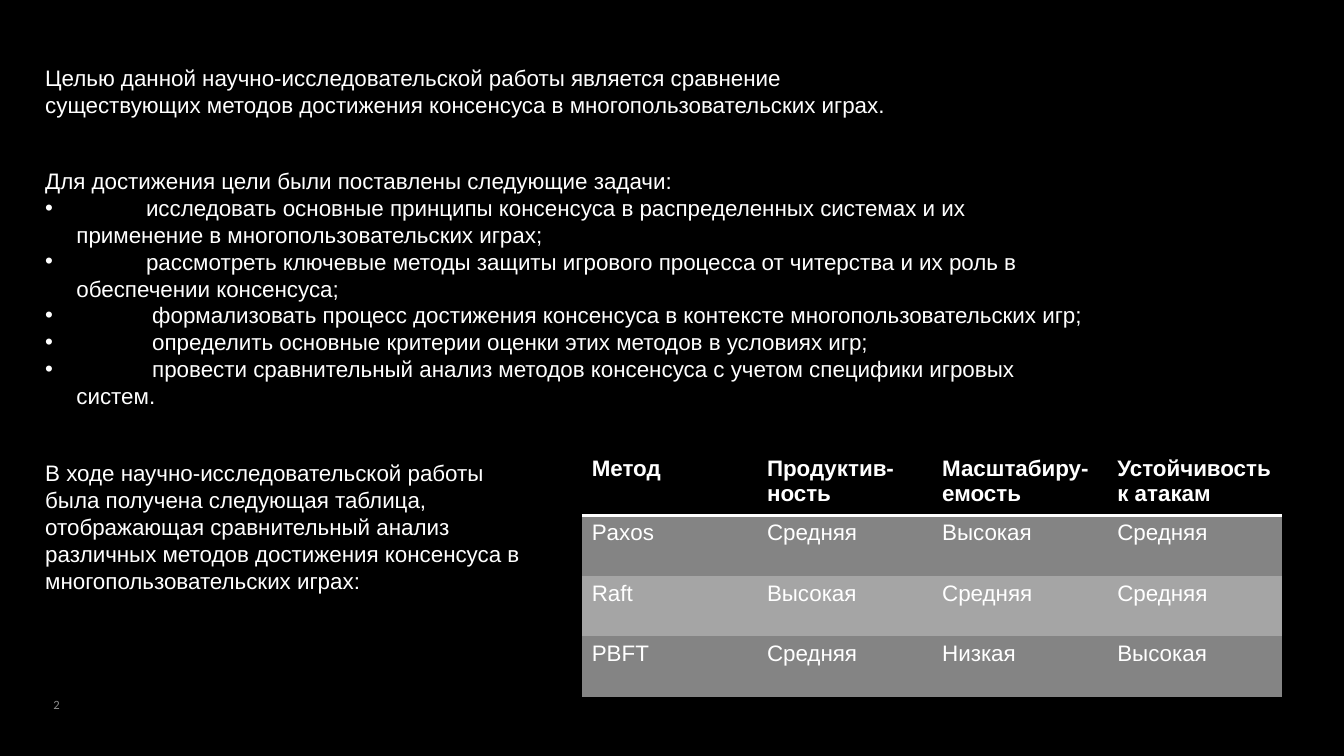
from lxml.etree import SubElement as Sub
from pptx import Presentation
from pptx.dml.color import RGBColor
from pptx.enum.text import MSO_ANCHOR as Anchor, PP_ALIGN as Align
from pptx.oxml.ns import qn
from pptx.util import Inches, Pt

BLACK = RGBColor(0x00, 0x00, 0x00)
WHITE = RGBColor(0xFF, 0xFF, 0xFF)
DARK = RGBColor(0x84, 0x84, 0x84)
LIGHT = RGBColor(0xA5, 0xA5, 0xA5)
DIM = RGBColor(0x8C, 0x8C, 0x8C)

GOAL = ("Целью данной научно-исследовательской работы является сравнение "
        "существующих методов достижения консенсуса в многопользовательских играх.")
LEAD = "Для достижения цели были поставлены следующие задачи:"
TASKS = [
    "\tисследовать основные принципы консенсуса в распределенных системах и их "
    "применение в многопользовательских играх;",
    "\tрассмотреть ключевые методы защиты игрового процесса от читерства и их роль в "
    "обеспечении консенсуса;",
    "\t формализовать процесс достижения консенсуса в контексте многопользовательских игр;",
    "\t определить основные критерии оценки этих методов в условиях игр;",
    "\t провести сравнительный анализ методов консенсуса с учетом специфики игровых систем.",
]
RESULT = ("В ходе научно-исследовательской работы была получена следующая таблица, "
          "отображающая сравнительный анализ различных методов достижения консенсуса в "
          "многопользовательских играх:")
ROWS = [
    ["Метод", "Продуктив-ность", "Масштабиру-емость", "Устойчивость к атакам"],
    ["Paxos", "Средняя", "Высокая", "Средняя"],
    ["Raft", "Высокая", "Средняя", "Средняя"],
    ["PBFT", "Средняя", "Низкая", "Высокая"],
]


class Deck:
    """Holds the text style and the current slide."""
    font, size, color = "Arial", 16, WHITE

    def __init__(self, slide):
        self.slide = slide
        fill = slide.background.fill
        fill.solid()
        fill.fore_color.rgb = BLACK

    def run(self, para, text, bold=False):
        run = para.add_run()
        run.text = text
        font = run.font
        font.name, font.size, font.bold = self.font, Pt(self.size), bold
        font.color.rgb = self.color

    def box(self, x, y, w, h):
        frame = self.slide.shapes.add_textbox(
            Inches(x), Inches(y), Inches(w), Inches(h)).text_frame
        frame.word_wrap = True
        return frame

    def text(self, x, y, w, h, text):
        frame = self.box(x, y, w, h)
        self.run(frame.paragraphs[0], text)
        return frame

    def bullet(self, frame, text):
        para = frame.add_paragraph()
        props = para._p.get_or_add_pPr()
        props.set("marL", str(Inches(0.31)))
        props.set("indent", str(-Inches(0.31)))
        Sub(props, qn("a:buFont"), typeface="Arial")
        Sub(props, qn("a:buChar"), char="•")
        Sub(Sub(props, qn("a:tabLst")), qn("a:tab"), pos=str(Inches(1)), algn="l")
        self.run(para, text)

    def number(self, x, y, w, h, text):
        frame = self.box(x, y, w, h)
        frame.vertical_anchor = Anchor.MIDDLE
        para = frame.paragraphs[0]
        para.alignment = Align.RIGHT
        run = para.add_run()
        run.text = text
        run.font.name, run.font.size = "Calibri", Pt(9)
        run.font.color.rgb = DIM

    def edges(self, cell, ruled):
        """Draw the ruled side of a cell and clear the other sides."""
        props = cell._tc.get_or_add_tcPr()
        for side in "LRTB":
            line = Sub(props, qn("a:ln" + side), w=str(Pt(2)))
            if side == ruled:
                Sub(Sub(line, qn("a:solidFill")), qn("a:srgbClr"), val=str(WHITE))
            else:
                Sub(line, qn("a:noFill"))

    def table(self, x, y, w, rows, tall):
        grid = self.slide.shapes.add_table(
            len(rows), len(rows[0]), Inches(x), Inches(y),
            Inches(w), Inches(sum(tall))).table
        for row, high in zip(grid.rows, tall):
            row.height = Inches(high)
        for r, row in enumerate(rows):
            for c, text in enumerate(row):
                cell = grid.cell(r, c)
                # Borders come before the fill in the cell properties
                self.edges(cell, {0: "B", 1: "T"}.get(r))
                cell.fill.solid()
                cell.fill.fore_color.rgb = (
                    BLACK if r == 0 else DARK if r % 2 else LIGHT)
                self.run(cell.text_frame.paragraphs[0], text, r == 0)


def main():
    show = Presentation()
    show.slide_width, show.slide_height = Inches(13.33), Inches(7.5)
    deck = Deck(show.slides.add_slide(show.slide_layouts[6]))

    # Slide number
    deck.number(0, 6.83, 0.69, 0.32, "2")

    # Goal and tasks
    deck.text(0.35, 0.59, 8.9, 0.64, GOAL)
    tasks = deck.text(0.35, 1.61, 10.61, 2.52, LEAD)
    for task in TASKS:
        deck.bullet(tasks, task)

    # Result and comparison table
    deck.text(0.35, 4.51, 5.11, 1.45, RESULT)
    deck.table(5.77, 4.48, 6.95, ROWS, [0.63, 0.6, 0.6, 0.6])

    show.save("out.pptx")


if __name__ == "__main__":
    main()
